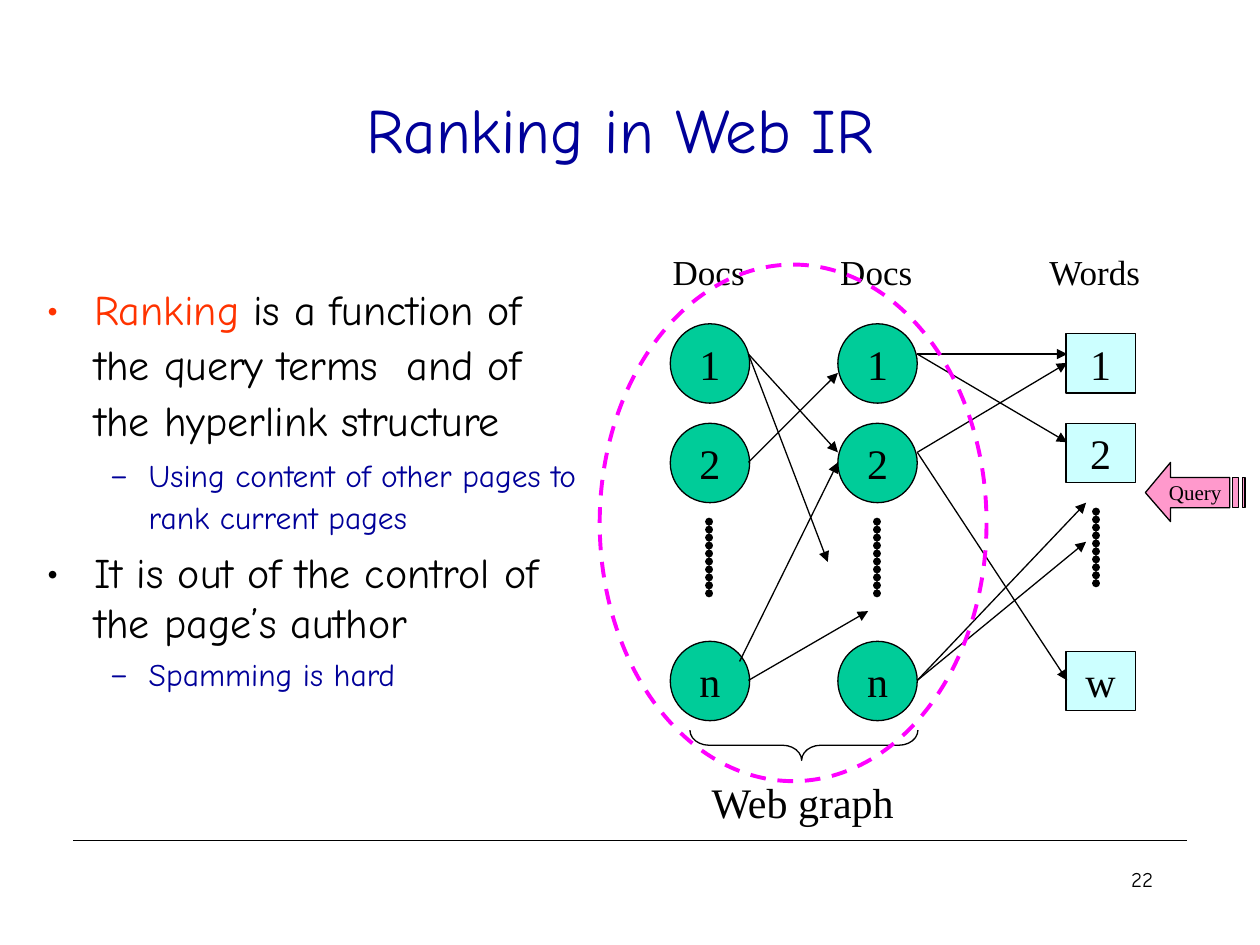
from dataclasses import dataclass

from lxml.etree import SubElement
from pptx import Presentation
from pptx.dml.color import RGBColor
from pptx.enum.dml import MSO_LINE
from pptx.enum.shapes import MSO_CONNECTOR, MSO_SHAPE
from pptx.enum.text import MSO_ANCHOR, MSO_AUTO_SIZE, PP_ALIGN
from pptx.oxml.ns import qn
from pptx.util import Inches, Pt


@dataclass(frozen=True)
class Theme:
    sans: str = "Comic Neue"
    serif: str = "Times New Roman"
    ink: str = "000000"
    navy: str = "000099"
    accent: str = "FF3300"
    doc: str = "00CC99"
    word: str = "CCFFFF"
    query: str = "FF99CC"
    ring: str = "FF00FF"
    title: int = 36
    body: int = 24
    sub: int = 18
    label: int = 20
    small: int = 12
    thin: float = 0.75


T = Theme()


def set_attrs(obj, values):
    for name, value in values.items():
        setattr(obj, name, value)


def lengths(*values):
    return [Inches(v) for v in values]


def add_run(p, text, size, color=T.ink, font=T.serif):
    r = p.add_run()
    r.text = text
    set_attrs(r.font, {"size": Pt(size), "name": font})
    r.font.color.rgb = RGBColor.from_string(color)


def style(shape, fill=None, line=T.ink, width=T.thin):
    shape.shadow.inherit = False
    if fill:
        shape.fill.solid()
        shape.fill.fore_color.rgb = RGBColor.from_string(fill)
    else:
        shape.fill.background()
    shape.line.color.rgb = RGBColor.from_string(line)
    shape.line.width = Pt(width)


def add_label(s, box, text, size, font=T.serif, align=PP_ALIGN.LEFT):
    tf = s.shapes.add_textbox(*lengths(*box)).text_frame
    tf.word_wrap = True
    p = tf.paragraphs[0]
    p.alignment = align
    add_run(p, text, size, font=font)


def center_text(shape, text, size):
    tf = shape.text_frame
    set_attrs(tf, {"word_wrap": False, "vertical_anchor": MSO_ANCHOR.MIDDLE})
    p = tf.paragraphs[0]
    p.alignment = PP_ALIGN.CENTER
    add_run(p, text, size)


def add_line(s, start, end, width=T.thin, arrow=False, dotted=False):
    c = s.shapes.add_connector(MSO_CONNECTOR.STRAIGHT, *lengths(*start, *end))
    c.line.color.rgb = RGBColor.from_string(T.ink)
    c.line.width = Pt(width)
    ln = c.line._get_or_add_ln()
    if dotted:
        ln.set("cap", "rnd")
        dash = SubElement(ln, qn("a:custDash"))
        SubElement(dash, qn("a:ds"), d="100000", sp="1000")
    if arrow:
        SubElement(ln, qn("a:tailEnd"), type="triangle")
    SubElement(c._element.spPr, qn("a:effectLst"))


def place(shape, box):
    set_attrs(shape, dict(zip(("left", "top", "width", "height"), lengths(*box))))


def title_region(s, box, text):
    title = s.shapes.title
    place(title, box)
    tf = title.text_frame
    set_attrs(tf, {"vertical_anchor": MSO_ANCHOR.TOP, "auto_size": MSO_AUTO_SIZE.NONE,
                   "margin_right": Inches(0.25)})
    p = tf.paragraphs[0]
    p.alignment = PP_ALIGN.CENTER
    add_run(p, text, T.title, T.navy, T.sans)


def body_region(s, box, items):
    body = s.placeholders[1]
    place(body, box)
    tf = body.text_frame
    tf.auto_size = MSO_AUTO_SIZE.NONE
    levels = [("•", 0.38, -0.38, T.body, 6), ("–", 0.81, -0.31, T.sub, 4.5)]
    for i, (level, spacing, runs) in enumerate(items):
        mark, margin, indent, size, before = levels[level]
        p = tf.add_paragraph() if i else tf.paragraphs[0]
        set_attrs(p, {"level": level, "line_spacing": spacing, "space_before": Pt(before)})
        pPr = p._p.get_or_add_pPr()
        pPr.set("marL", str(Inches(margin)))
        pPr.set("indent", str(Inches(indent)))
        SubElement(SubElement(pPr, qn("a:buClr")), qn("a:srgbClr"), val=runs[0][1])
        SubElement(pPr, qn("a:buFont"), typeface=T.sans)
        SubElement(pPr, qn("a:buChar"), char=mark)
        for text, color in runs:
            add_run(p, text, size, color, T.sans)


def node_column(s, left, top, kind, fill, size, heading, nodes, dots):
    label_x, label = heading
    add_label(s, (label_x, top, 1.18, 0.44), label, T.label)
    for text, y in nodes:
        node = s.shapes.add_shape(kind, *lengths(left, top + y, *size))
        style(node, fill)
        center_text(node, text, T.body)
    x, y = dots
    add_line(s, (x, top + y), (x, top + y + 0.63), width=4.5, dotted=True)


def query_arrow(s, left, top):
    outlines = [
        [(0.2, 0), (0.2, 0.12), (0.67, 0.12), (0.67, 0.36), (0.2, 0.36), (0.2, 0.47), (0, 0.24)],
        *[[(a, 0.12), (b, 0.12), (b, 0.36), (a, 0.36)] for a, b in ((0.69, 0.74), (0.77, 0.79))],
    ]
    first, *rest = [lengths(*pt) for pt in outlines[0]]
    fb = s.shapes.build_freeform(*first)
    fb.add_line_segments(rest)
    for outline in outlines[1:]:
        first, *rest = [lengths(*pt) for pt in outline]
        fb.move_to(*first)
        fb.add_line_segments(rest)
    arrow = fb.convert_to_shape(*lengths(left, top))
    style(arrow, T.query)
    center_text(arrow, "Query", T.small)


def graph_region(s, left, top):
    doc_rows = [("1", 0.63), ("2", 1.42), ("n", 3.15)]
    word_rows = [("1", 0.71), ("2", 1.42), ("w", 3.23)]
    for x in (left, left + 1.33):
        node_column(s, x + 0.08, top, MSO_SHAPE.OVAL, T.doc, (0.63, 0.63),
                    (x, "Docs"), doc_rows, (x + 0.39, 2.2))
    node_column(s, left + 3.22, top, MSO_SHAPE.RECTANGLE, T.word, (0.55, 0.47),
                (left + 2.99, "Words"), word_rows, (left + 3.46, 2.12))

    edges = {
        (0.7, 0.87): [(1.41, 1.65), (1.33, 2.52)],
        (0.7, 1.73): [(1.41, 1.02)],
        (0.63, 3.31): [(1.41, 1.73)],
        (0.7, 3.46): [(1.65, 2.91)],
        (2.04, 0.87): [(3.23, 0.87), (3.23, 1.57)],
        (2.04, 1.65): [(3.23, 0.94), (3.23, 3.46)],
        (2.04, 3.46): [(3.38, 2.36), (3.38, 2.05)],
    }
    for (x1, y1), targets in edges.items():
        for x2, y2 in targets:
            add_line(s, (left + x1, top + y1), (left + x2, top + y2), arrow=True)

    brace = s.shapes.add_shape(MSO_SHAPE.RIGHT_BRACE, *lengths(left + 1.02, top + 3.07, 0.24, 1.81))
    brace.rotation = 90
    brace.adjustments[0], brace.adjustments[1] = 0.63, 0.51
    style(brace)
    add_label(s, (left + 0.31, top + 4.17, 2.05, 0.5), "Web graph", T.body)
    query_arrow(s, left + 3.85, top + 1.73)

    ring = s.shapes.add_shape(MSO_SHAPE.OVAL, *lengths(left - 0.48, top + 0.16, 3.07, 4.1))
    style(ring, line=T.ring, width=2.25)
    ring.line.dash_style = MSO_LINE.DASH


def footer_region(s, left, top, width):
    add_line(s, (left, top), (left + width, top))
    add_label(s, (left + 6.59, top + 0.16, 2.08, 0.5), "22", T.small, T.sans, PP_ALIGN.RIGHT)


def main():
    prs = Presentation()
    set_attrs(prs, {"slide_width": Inches(10), "slide_height": Inches(7.5)})
    s = prs.slides.add_slide(prs.slide_layouts[1])
    footer_region(s, 0.58, 6.67, 8.84)
    title_region(s, (0.75, 0.67, 8.5, 1.25), "Ranking in Web IR")
    body_region(s, (0.27, 2.16, 4.49, 4.5), [
        (0, 1.1, [("Ranking", T.accent),
                  (" is a function of the query terms  and of the hyperlink structure", T.ink)]),
        (1, 1.1, [("Using content of other pages to rank current pages", T.navy)]),
        (0, 1.0, [("It is out of the control of the page’s author", T.ink)]),
        (1, 1.0, [("Spamming is hard", T.navy)]),
    ])
    graph_region(s, 5.24, 1.94)
    prs.save("out.pptx")


if __name__ == "__main__":
    main()
